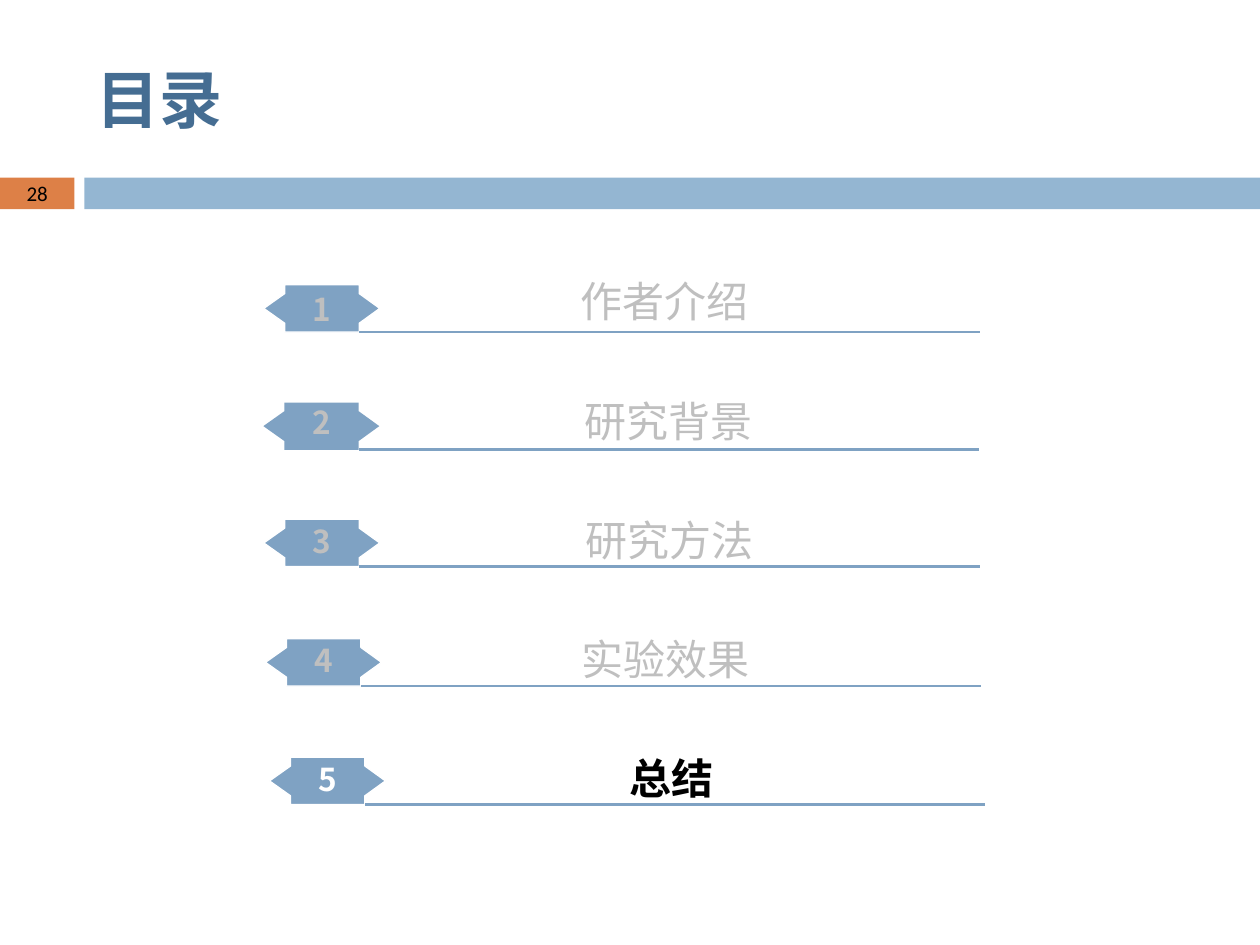
from lxml import etree
from pptx import Presentation
from pptx.dml.color import RGBColor
from pptx.enum.shapes import MSO_CONNECTOR, MSO_SHAPE
from pptx.enum.text import MSO_ANCHOR, MSO_AUTO_SIZE, PP_ALIGN
from pptx.oxml.ns import qn
from pptx.util import Pt

RECTANGLE = MSO_SHAPE.RECTANGLE
STRAIGHT = MSO_CONNECTOR.STRAIGHT
TOP, MIDDLE = MSO_ANCHOR.TOP, MSO_ANCHOR.MIDDLE
LEFT, CENTER = PP_ALIGN.LEFT, PP_ALIGN.CENTER
GROW = MSO_AUTO_SIZE.SHAPE_TO_FIT_TEXT

HAN_FONT = "Noto Sans CJK SC"
STEEL, GREY, WHITE, BLACK = "7FA2C3", "BFBFBF", "FFFFFF", "000000"
BADGE_WIDTH, BADGE_HEIGHT = 66.25, 27
BODY_LEFT, BODY_RIGHT = 12, 54.5
NOTCH, TIP = 5, 13.5


def rgb(code):
    """Turn a hex string into a colour."""
    return RGBColor.from_string(code)


def add_text(slide, box, text, size, color, font=HAN_FONT, bold=False,
             align=CENTER, anchor=MIDDLE, wrap=True):
    """Place one line of text in a box and return its frame."""
    frame = slide.shapes.add_textbox(*map(Pt, box)).text_frame
    frame.word_wrap = wrap
    frame.vertical_anchor = anchor
    paragraph = frame.paragraphs[0]
    paragraph.alignment = align
    run = paragraph.add_run()
    run.text = text
    run.font.name, run.font.size, run.font.bold = font, Pt(size), bold
    run.font.color.rgb = rgb(color)
    east_asian = etree.SubElement(run.font._element, qn("a:ea"))
    east_asian.set("typeface", font)
    return frame


def add_bar(slide, box, color):
    """Place a plain filled bar."""
    bar = slide.shapes.add_shape(RECTANGLE, *map(Pt, box))
    bar.shadow.inherit = False
    bar.fill.solid()
    bar.fill.fore_color.rgb = rgb(color)
    bar.line.fill.background()


def add_header(slide, box):
    """Place the title, the page number and the bars below the title."""
    left, top, width, height = box
    bar_top, bar_height, page_width, bar_left = top + 101.5, 18, 42.5, 48.25
    page_box = (left, bar_top, page_width, bar_height)
    add_bar(slide, page_box, "DD8047")
    add_bar(slide, (left + bar_left, bar_top, width - bar_left, bar_height), "94B6D2")
    add_text(slide, (left + bar_left, top + 17.25, 642, 78), "目录", 36, "456D92",
             bold=True, align=LEFT)
    add_text(slide, page_box, "28", 12, BLACK, font="Calibri")


def add_badge(slide, left, top, outlined):
    """Place a block with a point on its left and right side."""
    corners = [(BODY_RIGHT, 0), (BODY_LEFT, 0), (BODY_LEFT, NOTCH), (0, TIP),
               (BODY_LEFT, BADGE_HEIGHT - NOTCH), (BODY_LEFT, BADGE_HEIGHT),
               (BODY_RIGHT, BADGE_HEIGHT), (BODY_RIGHT, BADGE_HEIGHT - NOTCH),
               (BADGE_WIDTH, TIP), (BODY_RIGHT, NOTCH)]
    points = [(Pt(left + x), Pt(top + y)) for x, y in corners]
    builder = slide.shapes.build_freeform(*points[0])
    builder.add_line_segments(points[1:], close=True)
    badge = builder.convert_to_shape()
    badge.shadow.inherit = False
    badge.fill.solid()
    badge.fill.fore_color.rgb = rgb(STEEL)
    if outlined:
        badge.line.color.rgb = rgb(WHITE)
        badge.line.width = Pt(0.75)
    else:
        badge.line.fill.background()


def add_rule(slide, left, top, width):
    """Place the thin line under a chapter name."""
    rule = slide.shapes.add_connector(STRAIGHT, Pt(left), Pt(top), Pt(left + width), Pt(top))
    rule.line.color.rgb = rgb(STEEL)
    rule.line.width = Pt(1.5)
    etree.SubElement(rule._element.spPr, qn("a:effectLst"))


def add_chapter(slide, box, number, name, name_offset, number_rise, outlined, current):
    """Place one numbered entry of the contents."""
    left, top, width, height = box
    name_left, name_rise = name_offset
    add_badge(slide, left, top, outlined)
    add_rule(slide, left + BODY_RIGHT, top + height, width - BODY_RIGHT)
    add_text(slide, (left + 18.25, top - number_rise, 30, 34.5), str(number), 18,
             WHITE if current else GREY, bold=True, wrap=False)
    label = add_text(slide, (left + name_left, top - name_rise, 353, 36), name, 24,
                     BLACK if current else GREY, bold=current, anchor=TOP)
    label.auto_size = GROW


def main():
    """Build the contents slide."""
    deck = Presentation()
    deck.slide_width, deck.slide_height = Pt(720), Pt(540)
    slide = deck.slides.add_slide(deck.slide_layouts[6])
    add_header(slide, (0, 0, 720, 119.5))
    chapters = [
        ("作者介绍", 150.75, 162.75, (52.5, 8.75), 3.75),
        ("研究背景", 150.5, 230, (54.75, 7.5), 6),
        ("研究方法", 150.75, 296.75, (55.25, 6.5), 5),
        ("实验效果", 151.75, 365, (52, 6.5), 5),
        ("总结", 154, 432.75, (53.25, 6.5), 5),
    ]
    for number, (name, left, top, name_offset, number_rise) in enumerate(chapters, 1):
        add_chapter(slide, (left, top, 409, BADGE_HEIGHT), number, name, name_offset,
                    number_rise, outlined=number != 2, current=number == len(chapters))
    deck.save("out.pptx")


if __name__ == "__main__":
    main()
